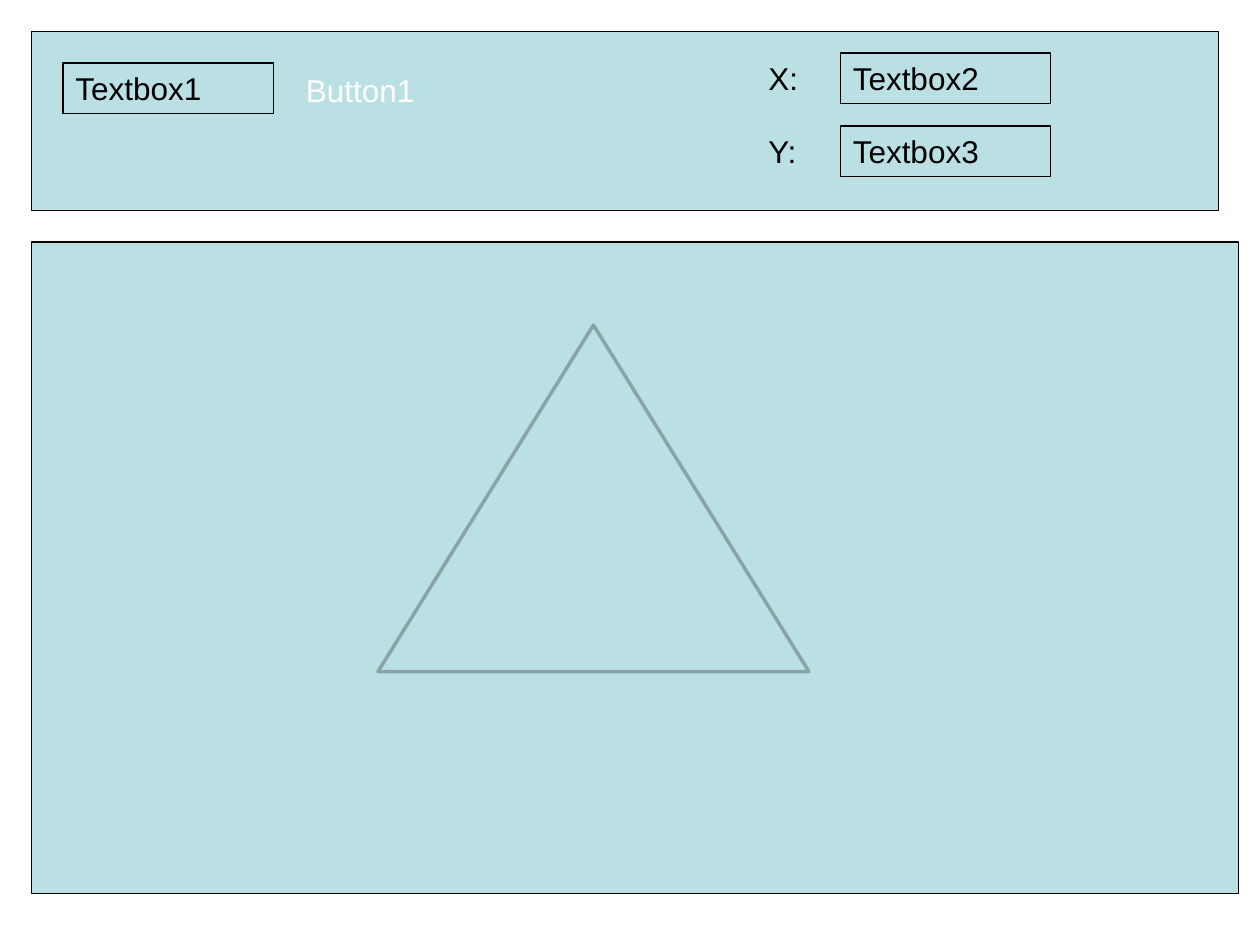
from pptx import Presentation
from pptx.dml.color import RGBColor
from pptx.enum.shapes import MSO_SHAPE as Shape
from pptx.enum.text import MSO_ANCHOR as Anchor, MSO_AUTO_SIZE as AutoSize, PP_ALIGN as Align
from pptx.util import Inches, Pt

# Content
COLORS = {"panel": "BBE0E3", "ink": "000000", "edge": "89A4A7", "light": "FFFFFF"}
PANELS = [  # kind, left, top, width, height, line colour, line width
    (Shape.RECTANGLE, 0.25, 1.92, 9.58, 5.17, "ink", 0.74),
    (Shape.RECTANGLE, 0.25, 0.25, 9.42, 1.42, "ink", 0.74),
    (Shape.ISOSCELES_TRIANGLE, 3, 2.58, 3.42, 2.75, "edge", 2),
]
COORDINATES = [("X:", "Textbox2"), ("Y:", "Textbox3")]
COORD_LEFT, COORD_TOP, COORD_STEP = 6, 0.42, 0.58
LABEL_WIDTH, FIELD_WIDTH, ROW_HEIGHT = 0.67, 1.67, 0.4

prs = Presentation()
prs.slide_width, prs.slide_height = Inches(10), Inches(7.5)
slide = prs.slides.add_slide(prs.slide_layouts[6])


def rgb(name):
    return RGBColor.from_string(COLORS[name])


def add_outline(kind, left, top, width, height, line="ink", weight=0.74, fill=None):
    outline = slide.shapes.add_shape(kind, *map(Inches, (left, top, width, height)))
    outline.shadow.inherit = False
    if fill:
        outline.fill.solid()
        outline.fill.fore_color.rgb = rgb(fill)
    else:
        outline.fill.background()
    outline.line.color.rgb = rgb(line)
    outline.line.width = Pt(weight)
    return outline


def add_text(text, left, top, width, height=ROW_HEIGHT, color="ink", boxed=False,
             anchor=Anchor.TOP, grow=True):
    if boxed:
        holder = add_outline(Shape.RECTANGLE, left, top, width, height)
    else:
        holder = slide.shapes.add_textbox(*map(Inches, (left, top, width, height)))
    frame = holder.text_frame
    frame.word_wrap = True
    frame.auto_size = AutoSize.SHAPE_TO_FIT_TEXT if grow else AutoSize.NONE
    frame.vertical_anchor = anchor
    paragraph = frame.paragraphs[0]
    paragraph.alignment = Align.LEFT
    if boxed:
        paragraph.space_before = Pt(11.2)
    run = paragraph.add_run()
    run.text = text
    run.font.name, run.font.size = "Arial", Pt(18)
    run.font.color.rgb = rgb(color)


# Panels and drawing
for panel in PANELS:
    add_outline(*panel, fill="panel")

# Input and button
add_text("Button1", 2.33, 0.5, 1.33, 0.42, color="light", anchor=Anchor.MIDDLE, grow=False)
add_text("Textbox1", 0.5, 0.5, FIELD_WIDTH, boxed=True)

# Coordinate rows
for row, (label, field) in enumerate(COORDINATES):
    top = COORD_TOP + row * COORD_STEP
    add_text(label, COORD_LEFT, top, LABEL_WIDTH)
    add_text(field, COORD_LEFT + LABEL_WIDTH, top, FIELD_WIDTH, boxed=True)

prs.save("out.pptx")
